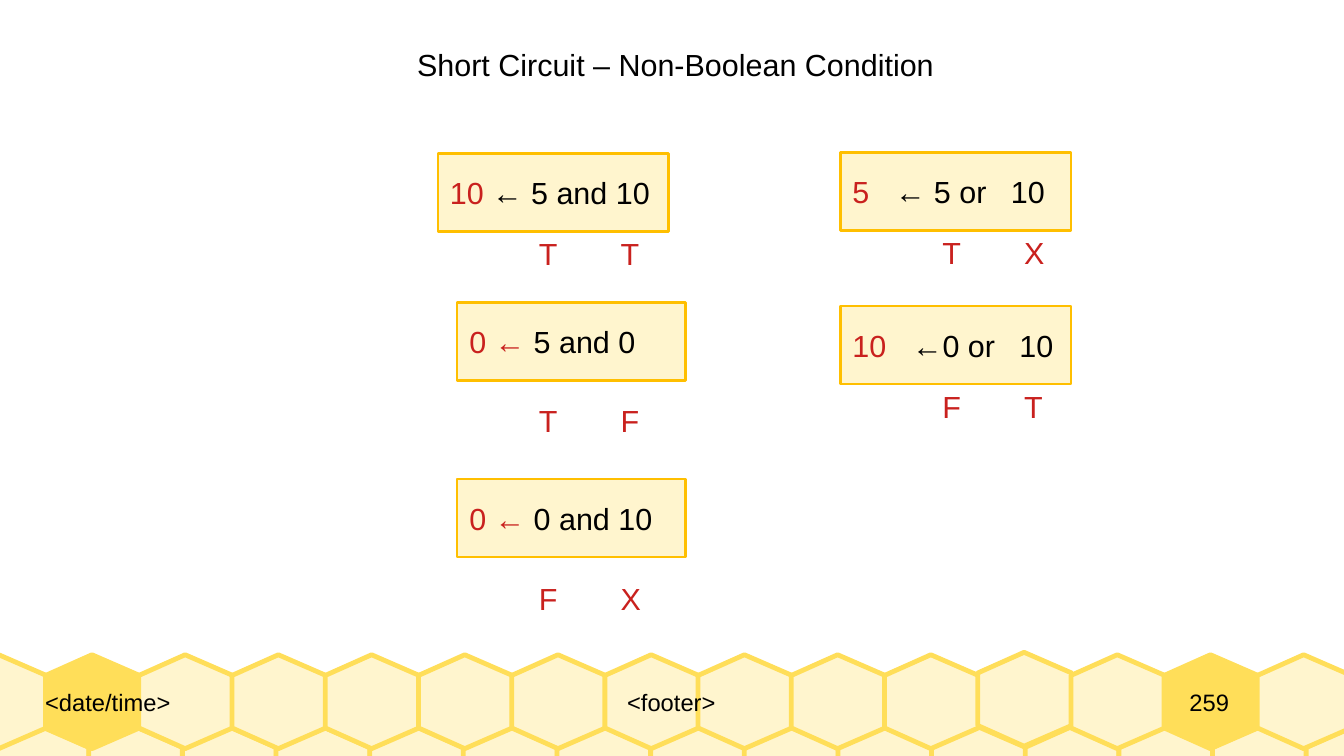
from dataclasses import dataclass

from pptx import Presentation
from pptx.dml.color import RGBColor as Rgb
from pptx.enum.shapes import MSO_SHAPE as Kind
from pptx.enum.text import MSO_ANCHOR as Anchor, MSO_AUTO_SIZE as Fit, PP_ALIGN as Align
from pptx.oxml.xmlchemy import OxmlElement as Node
from pptx.util import Inches, Pt


@dataclass(frozen=True)
class Theme:
    font: str = "Arial"
    text: int = 18
    small: int = 14
    ink: str = "000000"
    red: str = "C9211E"
    cream: str = "FFF5CE"
    gold: str = "FFDE59"
    amber: str = "FFBF00"


class Maker:
    def __init__(self, slide, theme):
        self.slide, self.theme = slide, theme

    def frame(self, shape, anchor, pad=True):
        tf = shape.text_frame
        tf.word_wrap, tf.auto_size = True, Fit.NONE
        tf.vertical_anchor = anchor
        tf.margin_left = Inches(0.1 if pad else 0)
        tf.margin_top = tf.margin_bottom = Inches(0.05 if pad else 0)
        tf.margin_right = 0
        return tf.paragraphs[0]

    def style(self, para, size, color=None, align=Align.LEFT):
        para.alignment = align
        font = para.font
        font.name, font.size = self.theme.font, Pt(size)
        if color:
            font.color.rgb = Rgb.from_string(color)

    def paint(self, shape, fill, line, width):
        shape.shadow.inherit = False
        shape.fill.solid()
        shape.fill.fore_color.rgb = Rgb.from_string(fill)
        shape.line.color.rgb = Rgb.from_string(line)
        shape.line.width = Pt(width)

    def title(self, text, *box):
        shape = self.slide.shapes.title
        shape.left, shape.top, shape.width, shape.height = map(Inches, box)
        para = self.frame(shape, Anchor.TOP)
        para.text = text
        self.style(para, self.theme.text, self.theme.ink)

    def mark(self, text, x, y):
        shape = self.slide.shapes.add_textbox(*map(Inches, (x, y, 0.36, 0.38)))
        para = self.frame(shape, Anchor.TOP)
        para.text = text
        self.style(para, self.theme.text, self.theme.red)

    def foot(self, text, x, width, align):
        shape = self.slide.shapes.add_textbox(*map(Inches, (x, 5.37, width, 0.77)))
        para = self.frame(shape, Anchor.MIDDLE, pad=False)
        para.text = text
        self.style(para, self.theme.small, self.theme.ink, align)

    def card(self, red, black, x, y, width, tabs):
        shape = self.slide.shapes.add_shape(
            Kind.RECTANGLE, *map(Inches, (x, y, width, 0.64)))
        self.paint(shape, self.theme.cream, self.theme.amber, 1.42)
        para = self.frame(shape, Anchor.MIDDLE)
        if tabs:
            stops = Node("a:tabLst")
            for pos in tabs:
                stop = Node("a:tab")
                stop.set("pos", str(Inches(pos)))
                stop.set("algn", "l")
                stops.append(stop)
            para._p.get_or_add_pPr().append(stops)
        self.style(para, self.theme.text)
        for text, color in ((red, self.theme.red), (black, self.theme.ink)):
            run = para.add_run()
            run.text = text
            run.font.color.rgb = Rgb.from_string(color)

    def cell(self, x, y, fill):
        spots = [(0.38, 0), (0, 0.17), (0, 0.6), (0.38, 0.77), (0.77, 0.6), (0.77, 0.17)]
        first, *rest = [(Inches(x + dx), Inches(y + dy)) for dx, dy in spots]
        path = self.slide.shapes.build_freeform(*first, scale=1.0)
        path.add_line_segments(rest, close=True)
        self.paint(path.convert_to_shape(), fill, self.theme.gold, 2.83)


def main():
    deck = Presentation()
    deck.slide_width, deck.slide_height = Inches(11.02), Inches(6.2)
    theme = Theme()
    make = Maker(deck.slides.add_slide(deck.slide_layouts[5]), theme)

    # Honeycomb band: lower row, then upper row with two solid cells
    count = 15
    for i in range(count):
        make.cell(-0.04 + i * 10.75 / (count - 1), 5.96, theme.cream)
    for i in range(count):
        make.cell(-0.39 + i * 10.7 / (count - 1), 5.35 if i == 11 else 5.37,
                  theme.gold if i in (1, 13) else theme.cream)

    # Footer
    make.foot("<date/time>", 0.37, 2.63, Align.LEFT)
    make.foot("<footer>", 3, 5.01, Align.CENTER)
    make.foot("259", 9.29, 1.25, Align.CENTER)

    # Title
    make.title("Short Circuit – Non-Boolean Condition", 3.32, 0.33, 4.44, 0.38)

    # Conditions: result, expression, x, y, width, tabs, marks, marks x, marks drop
    rows = [
        ("10", " ← 5 and 10", 3.59, 1.26, 1.89, (), "TT", 4.32, 0.62),
        ("0 ← ", "5 and 0", 3.75, 2.48, 1.87, (), "TF", 4.32, 0.77),
        ("0 ← ", "0 and 10", 3.75, 3.93, 1.87, (), "FX", 4.32, 0.78),
        ("5", "\t← 5 or\t10", 6.89, 1.25, 1.89, (0.35, 1.3), "TX", 7.63, 0.62),
        ("10", "\t←0 or\t10", 6.89, 2.51, 1.89, (0.49, 1.37), "FT", 7.63, 0.62),
    ]
    for red, black, x, y, width, tabs, marks, left, drop in rows:
        make.card(red, black, x, y, width, tabs)
        for i, mark in enumerate(marks):
            make.mark(mark, left + i * 0.67, y + drop)

    deck.save("out.pptx")


if __name__ == "__main__":
    main()
